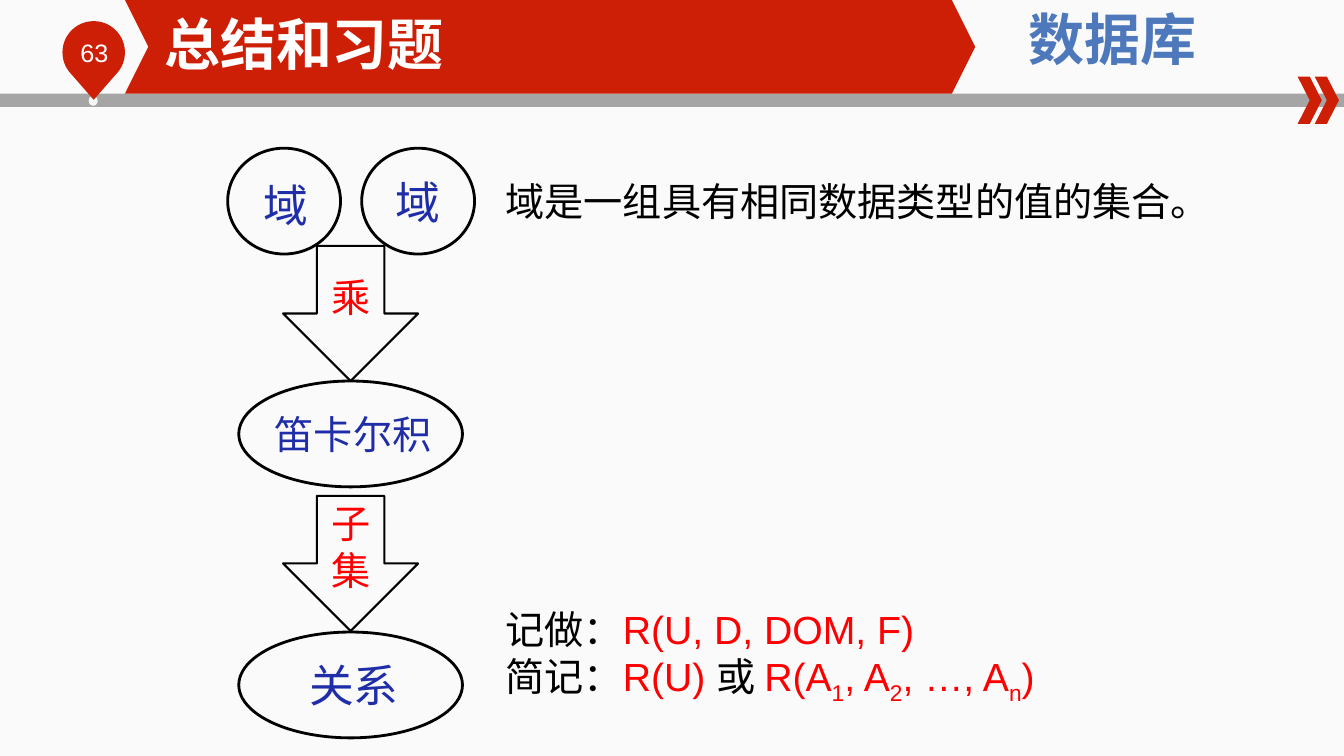
import math

import pptx
import pptx.dml.color
import pptx.enum.shapes
import pptx.enum.text
import pptx.oxml
import pptx.oxml.ns
import pptx.util

RGBColor = pptx.dml.color.RGBColor
SHAPES = pptx.enum.shapes.MSO_SHAPE
ALIGN = pptx.enum.text.PP_ALIGN
ANCHOR = pptx.enum.text.MSO_ANCHOR

PX = 9144  # EMU per px, 100 px to the inch
WHITE = RGBColor(0xFF, 0xFF, 0xFF)
BLACK = RGBColor(0x00, 0x00, 0x00)
RED = RGBColor(0xFF, 0x00, 0x00)
BANNER_RED = RGBColor(0xCD, 0x1F, 0x06)
GRAY = RGBColor(0xA5, 0xA5, 0xA5)
DOT_WHITE = RGBColor(0xF6, 0xF6, 0xF6)
NAVY = RGBColor(0x1F, 0x2D, 0xA8)
COURSE_BLUE = RGBColor(0x4D, 0x79, 0xBC)
BACKGROUND = (RGBColor(0xFA, 0xFA, 0xFA), RGBColor(0xFC, 0xFC, 0xFC))
CJK_FONT = "Noto Sans CJK SC"

presentation = pptx.Presentation()
presentation.slide_width = 1334 * PX
presentation.slide_height = 750 * PX
slide = presentation.slides.add_slide(presentation.slide_layouts[6])


def add_shape(kind, box, fill=None, line=None):
    shape = slide.shapes.add_shape(kind, *(value * PX for value in box))
    shape.shadow.inherit = False
    if fill is None:
        shape.fill.background()
    else:
        shape.fill.solid()
        shape.fill.fore_color.rgb = fill
    if line is None:
        shape.line.fill.background()
    else:
        shape.line.color.rgb = BLACK
        shape.line.width = pptx.util.Pt(line)
    return shape


def add_text(text, box=None, shape=None, size=28, color=BLACK, bold=False, font="Arial",
             align=ALIGN.LEFT, anchor=ANCHOR.TOP, wrap=True, inset=None):
    """Write a string, or a list of paragraphs made of (text, color, baseline) runs."""
    if shape is None:
        shape = slide.shapes.add_textbox(*(value * PX for value in box))
        shape.text_frame.auto_size = pptx.enum.text.MSO_AUTO_SIZE.SHAPE_TO_FIT_TEXT
    frame = shape.text_frame
    frame.word_wrap = wrap
    frame.vertical_anchor = anchor
    if inset is not None:
        frame.margin_left = frame.margin_right = inset * PX
        frame.margin_top = frame.margin_bottom = inset * PX
    paragraphs = [[(text, color, 0)]] if isinstance(text, str) else text
    for index, runs in enumerate(paragraphs):
        paragraph = frame.add_paragraph() if index else frame.paragraphs[0]
        paragraph.alignment = align
        for run_text, run_color, baseline in runs:
            run = paragraph.add_run()
            run.text = run_text
            run.font.size = pptx.util.Pt(size)
            run.font.bold = bold
            run.font.name = font
            run.font.color.rgb = run_color
            properties = run.font._element
            east_asian = pptx.oxml.parse_xml(
                f'<a:ea {pptx.oxml.ns.nsdecls("a")} typeface="{CJK_FONT}"/>')
            properties.append(east_asian)
            if baseline:
                properties.set("baseline", str(baseline * 1000))


# Background
background = slide.background.fill
background.gradient()
background.gradient_angle = 270
for stop, color in zip(background.gradient_stops, BACKGROUND):
    stop.color.rgb = color

# Header rule and page pin
add_shape(SHAPES.RECTANGLE, (0, 93, 1334, 13), fill=GRAY)
add_shape(SHAPES.OVAL, (88, 95, 9, 10), fill=DOT_WHITE)
pin_x, pin_y, pin_radius = 93, 52, 31
pin_arc = [(100 * (pin_x + pin_radius * math.cos(math.radians(angle))),
            100 * (pin_y + pin_radius * math.sin(math.radians(angle))))
           for angle in range(135, 406, 5)]
builder = slide.shapes.build_freeform(100 * pin_x, 9900, scale=PX / 100)
builder.add_line_segments(pin_arc, close=True)
pin = builder.convert_to_shape()
pin.shadow.inherit = False
pin.fill.solid()
pin.fill.fore_color.rgb = BANNER_RED
pin.line.fill.background()
add_text("63", (70, 32, 76, 40), size=18, color=WHITE)

# Header chevrons and titles
for left, top, width, height, point in ((1288, 76, 24, 47, 0.5), (1305, 76, 24, 47, 0.5),
                                        (124, 0, 844, 93, 0.25)):
    chevron = add_shape(SHAPES.CHEVRON, (left, top, width, height), fill=BANNER_RED)
    chevron.adjustments[0] = point
add_text("数据库", (968, 0, 272, 77), size=40, color=COURSE_BLUE, bold=True,
         font=CJK_FONT, align=ALIGN.CENTER)
add_text("总结和习题", (163, 9, 661, 67), size=40, color=WHITE, bold=True,
         anchor=ANCHOR.MIDDLE, inset=0)

# Concept ellipses with their labels
for label, ellipse, box, size in (
    ("域", (226, 147, 112, 105), (252, 171, 64, 64), 32),
    ("域", (359, 147, 112, 105), (383, 168, 64, 64), 32),
    ("笛卡尔积", (237, 378, 222, 105), (263, 402, 176, 57), 28),
    ("关系", (237, 627, 222, 105), (297, 648, 109, 64), 32),
):
    add_shape(SHAPES.OVAL, ellipse, line=2)
    add_text(label, box, size=size, color=NAVY, wrap=False)

# Arrows between the concepts
for label, top in (("乘", 244), ("子集", 492)):
    arrow = add_shape(SHAPES.DOWN_ARROW, (281, top, 134, 134), line=1.5)
    add_text(label, shape=arrow, color=RED, align=ALIGN.CENTER, anchor=ANCHOR.MIDDLE)

# Definition and notation
add_text("域是一组具有相同数据类型的值的集合。", (492, 171, 720, 57), font=CJK_FONT, wrap=False)
add_text([
    [("记做：", BLACK, 0), ("R(U, D, DOM, F)", RED, 0)],
    [("简记：", BLACK, 0), ("R(U) ", RED, 0), ("或 ", BLACK, 0), ("R(A", RED, 0),
     ("1", RED, -25), (", A", RED, 0), ("2", RED, -25), (", …, A", RED, 0),
     ("n", RED, -25), (")", RED, 0)],
], (492, 596, 667, 104))

presentation.save("out.pptx")
